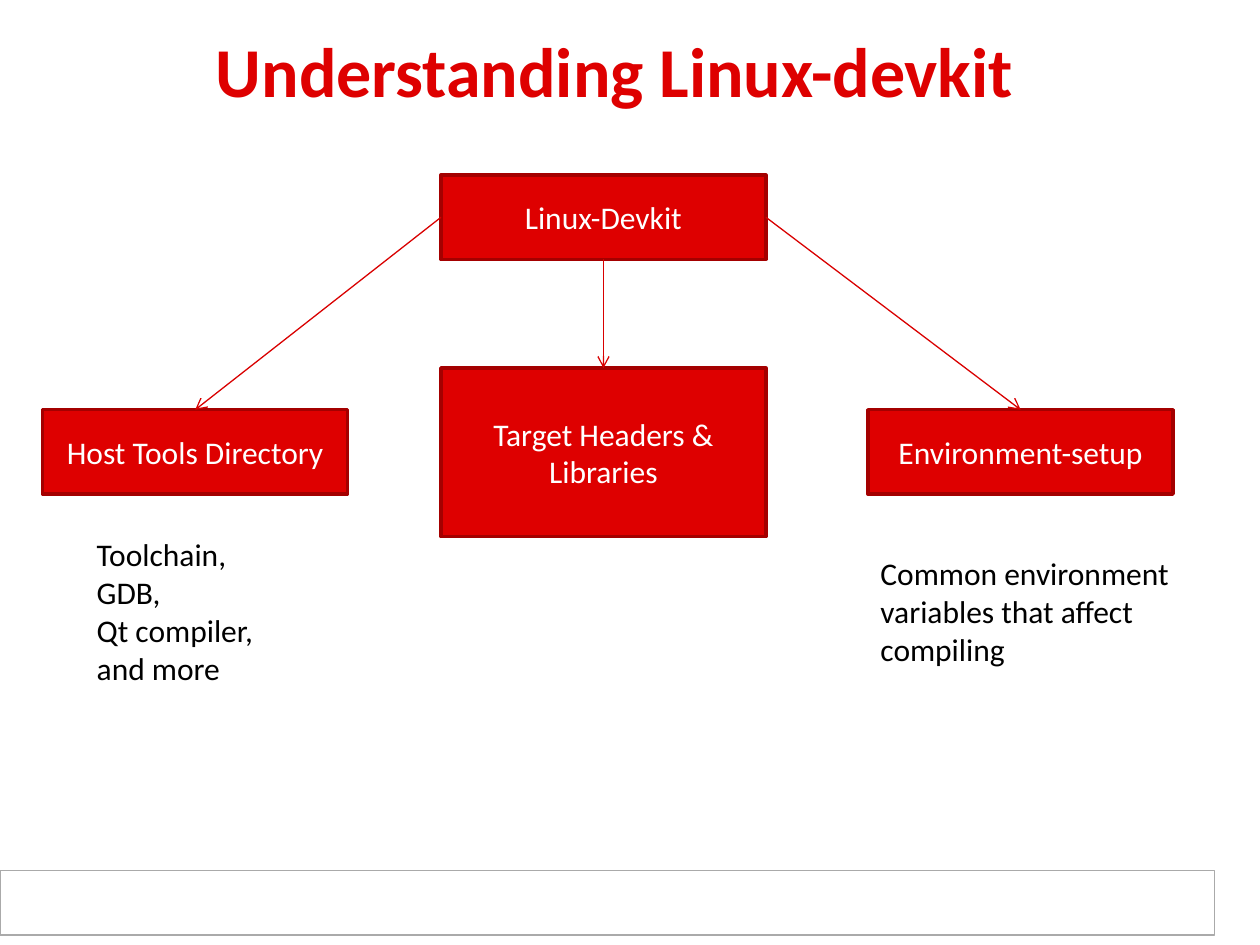
from lxml.etree import SubElement
from pptx import Presentation
from pptx.dml.color import RGBColor
from pptx.enum.shapes import MSO_CONNECTOR, MSO_SHAPE
from pptx.enum.text import MSO_ANCHOR, MSO_AUTO_SIZE, PP_ALIGN
from pptx.oxml.ns import qn
from pptx.util import Cm, Pt

RED = RGBColor(0xDE, 0x00, 0x00)
DARK_RED = RGBColor(0xA4, 0x00, 0x00)
ARROW_RED = RGBColor(0xD9, 0x00, 0x00)
GRAY = RGBColor(0xAA, 0xAA, 0xAA)
WHITE = RGBColor(0xFF, 0xFF, 0xFF)
BLACK = RGBColor(0x00, 0x00, 0x00)

FONT = "Calibri"
TOP, LEFT, BOTTOM, RIGHT = range(4)  # connection sites of a rectangle


def set_font(paragraph, color, size=18, bold=False):
    paragraph.font.name = FONT
    paragraph.font.size = Pt(size)
    paragraph.font.bold = bold
    paragraph.font.color.rgb = color


def add_rectangle(slide, left, top, width, height, fill, line, line_width):
    shape = slide.shapes.add_shape(
        MSO_SHAPE.RECTANGLE, Cm(left), Cm(top), Cm(width), Cm(height))
    shape.shadow.inherit = False
    shape.fill.solid()
    shape.fill.fore_color.rgb = fill
    shape.line.color.rgb = line
    shape.line.width = Pt(line_width)
    return shape


def add_box(slide, text, left, top, width, height=1.7):
    shape = add_rectangle(slide, left, top, width, height, RED, DARK_RED, 2)
    shape.text_frame.vertical_anchor = MSO_ANCHOR.MIDDLE
    paragraph = shape.text_frame.paragraphs[0]
    paragraph.text = text
    paragraph.alignment = PP_ALIGN.CENTER
    set_font(paragraph, WHITE)
    return shape


def add_text(slide, lines, left, top, width, height, wrap=True):
    shape = slide.shapes.add_textbox(Cm(left), Cm(top), Cm(width), Cm(height))
    frame = shape.text_frame
    frame.word_wrap = wrap
    frame.auto_size = MSO_AUTO_SIZE.SHAPE_TO_FIT_TEXT
    frame.text = "\n".join(lines)
    for paragraph in frame.paragraphs:
        set_font(paragraph, BLACK)
    return shape


def add_title(slide, text):
    shape = add_text(slide, [text], 0.64, 0.41, 23.5, 2.26)
    shape.text_frame.auto_size = MSO_AUTO_SIZE.NONE
    shape.text_frame.vertical_anchor = MSO_ANCHOR.MIDDLE
    paragraph = shape.text_frame.paragraphs[0]
    paragraph.alignment = PP_ALIGN.CENTER
    paragraph.line_spacing = 0.85
    set_font(paragraph, RED, size=40, bold=True)


def add_arrow(slide, source, source_site, target):
    connector = slide.shapes.add_connector(MSO_CONNECTOR.STRAIGHT, 0, 0, 0, 0)
    connector.begin_connect(source, source_site)
    connector.end_connect(target, TOP)
    connector.line.color.rgb = ARROW_RED
    connector.line.width = Pt(0.75)
    SubElement(connector.line._get_or_add_ln(), qn("a:tailEnd"), type="arrow")
    SubElement(connector._element.spPr, qn("a:effectLst"))


def main():
    presentation = Presentation()
    presentation.slide_width = Cm(25.4)
    presentation.slide_height = Cm(19.05)
    slide = presentation.slides.add_slide(presentation.slide_layouts[6])

    # Footer frame and title
    add_rectangle(slide, 0, 17.55, 24.49, 1.3, WHITE, GRAY, 0.75)
    add_title(slide, "Understanding Linux-devkit")

    # Devkit and its three parts
    devkit = add_box(slide, "Linux-Devkit", 8.89, 3.53, 6.55)
    host_tools = add_box(slide, "Host Tools Directory", 0.86, 8.26, 6.15)
    target = add_box(slide, "Target Headers & Libraries", 8.89, 7.42, 6.55, 3.4)
    environment = add_box(slide, "Environment-setup", 17.5, 8.26, 6.15)

    # Arrows from the devkit to each part
    for site, part in ((LEFT, host_tools), (BOTTOM, target), (RIGHT, environment)):
        add_arrow(slide, devkit, site, part)

    # Notes under the outer parts
    add_text(slide, ["Toolchain,", "GDB,", "Qt compiler,", "and more"],
             1.7, 10.67, 3.71, 3.33, wrap=False)
    add_text(slide, ["Common environment variables that affect compiling"],
             17.5, 11.05, 6.83, 2.57)

    presentation.save("out.pptx")


if __name__ == "__main__":
    main()
